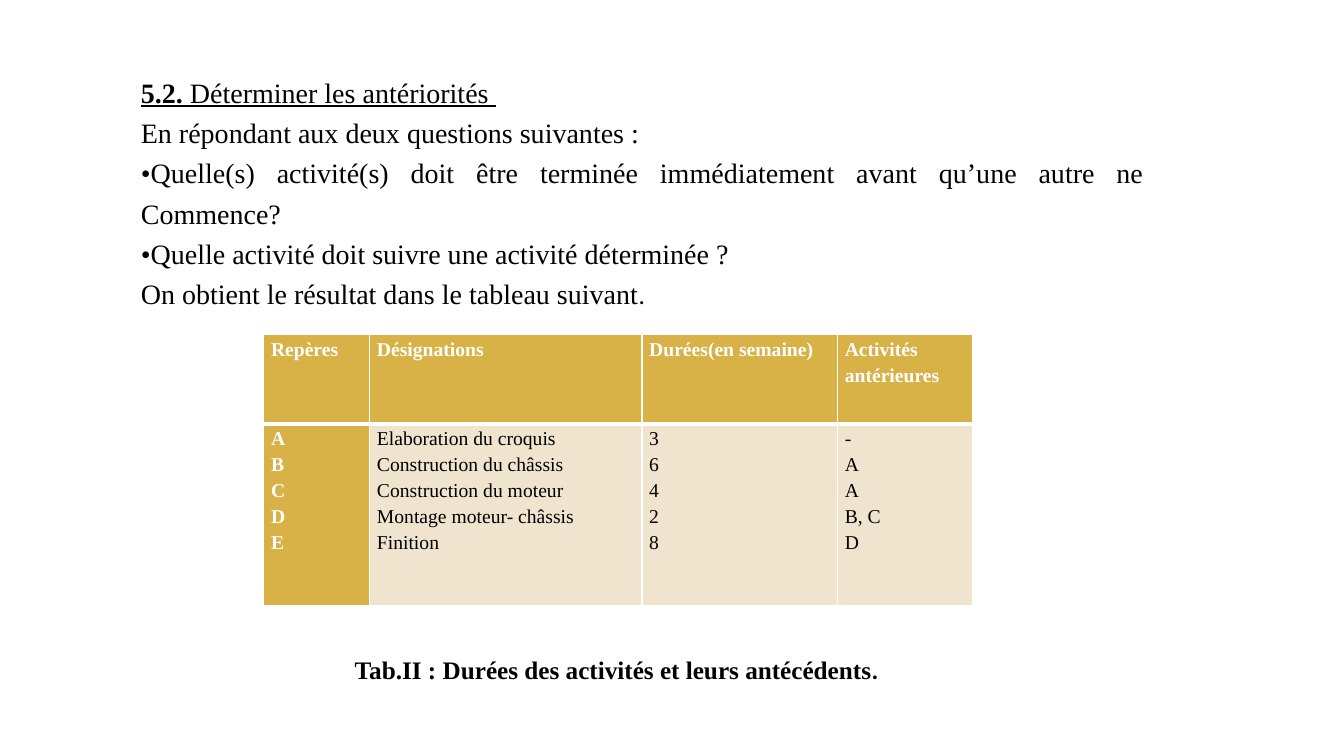
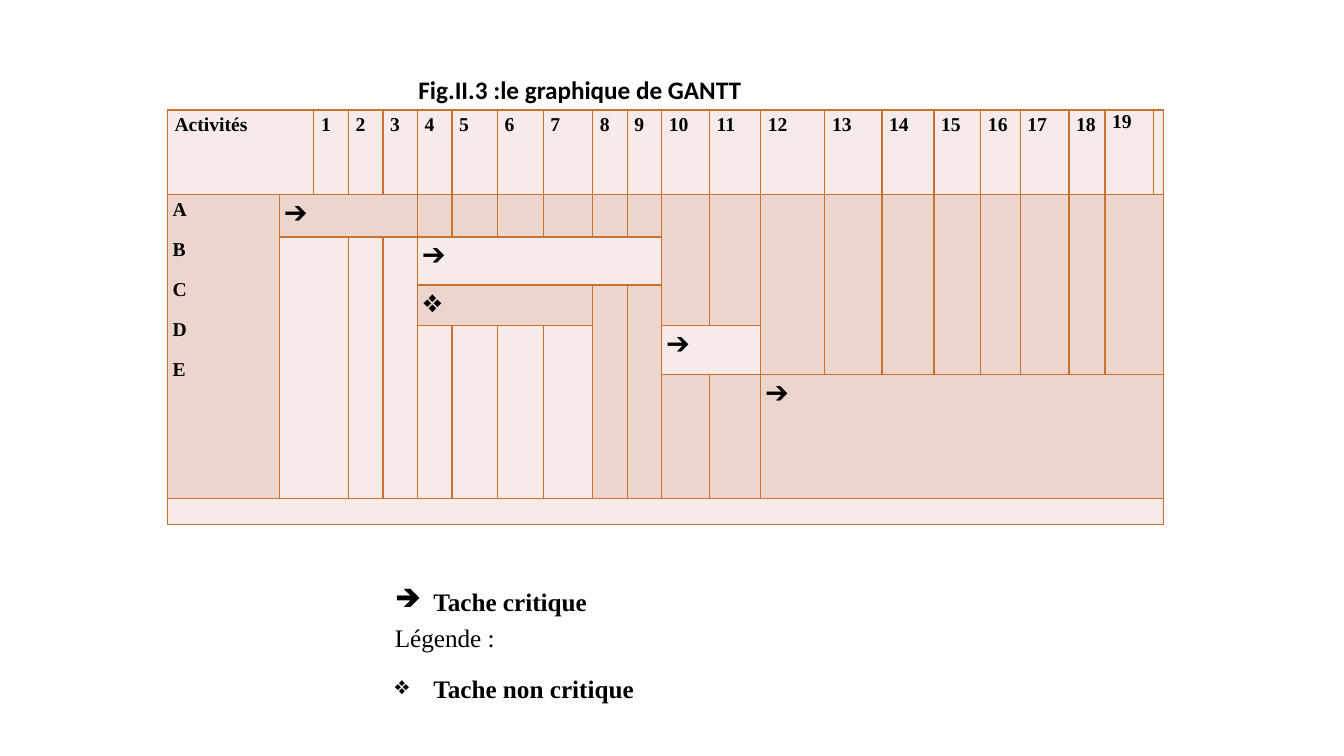
from lxml.etree import SubElement
from pptx import Presentation
from pptx.dml.color import RGBColor
from pptx.enum.text import MSO_ANCHOR, MSO_AUTO_SIZE, PP_ALIGN
from pptx.oxml.ns import qn
from pptx.util import Cm, Pt

SERIF, SANS = "Times New Roman", "Calibri"
BLACK, WHITE = "000000", "FFFFFF"
GOLD, CREAM = "D9B247", "F1E4CF"
ORANGE, PINK, PALE = "CC702D", "ECD5CD", "F6EBE8"


def style_paragraph(paragraph, size, bold=False, color=BLACK, font=SERIF,
                    align=PP_ALIGN.LEFT, after=0, spacing=1.2):
    paragraph.alignment = align
    paragraph.line_spacing = spacing
    paragraph.space_before = Pt(0)
    paragraph.space_after = Pt(after)
    for run in paragraph.runs:
        run.font.size = Pt(size)
        run.font.bold = bold
        run.font.name = font
        run.font.color.rgb = RGBColor.from_string(color)


def style_cell(cell, fill, line, inset, bottom=1, top=1):
    cell.margin_left = cell.margin_right = Cm(inset)
    cell.margin_top = cell.margin_bottom = 0
    properties = cell._tc.get_or_add_tcPr()
    for side, width in (("L", 1), ("R", 1), ("T", top), ("B", bottom)):
        border = SubElement(properties, qn(f"a:ln{side}"), w=str(Pt(width)))
        SubElement(SubElement(border, qn("a:solidFill")), qn("a:srgbClr"), val=line)
    cell.fill.solid()
    cell.fill.fore_color.rgb = RGBColor.from_string(fill)


prs = Presentation()
prs.slide_width, prs.slide_height = Cm(33.87), Cm(19.05)
title_only, blank = prs.slide_layouts[5], prs.slide_layouts[6]

# Slide 1: precedence of the activities
slide = prs.slides.add_slide(blank)
intro = slide.shapes.add_textbox(Cm(3.3), Cm(1.6), Cm(25.78), Cm(6.4)).text_frame
intro.word_wrap = True
intro.text = "\n".join([
    "5.2.",
    "En répondant aux deux questions suivantes : ",
    "•Quelle(s) activité(s) doit être terminée immédiatement avant qu’une autre ne Commence? ",
    "•Quelle activité doit suivre une activité déterminée ? ",
    "On obtient le résultat dans le tableau suivant",
])
heading, closing = intro.paragraphs[0], intro.paragraphs[-1]
heading.add_run().text = " Déterminer les antériorités "
closing.add_run().text = ". "
for paragraph in intro.paragraphs:
    style_paragraph(paragraph, 20, align=PP_ALIGN.JUSTIFY)
for run in heading.runs:
    run.font.underline = True
heading.runs[0].font.bold = True
closing.runs[1].font.size = Pt(18)
closing.runs[1].font.name = SANS

# Table of durations, one column per entry
duration_columns = [
    (2.67, "Repères", "A\nB\nC\nD\nE"),
    (6.86, "Désignations", "Elaboration du croquis\nConstruction du châssis\n"
     "Construction du moteur\nMontage moteur- châssis\nFinition"),
    (4.93, "Durées(en semaine)", "3\n6\n4\n2\n8"),
    (3.4, "Activités antérieures", "-\nA\nA\nB, C\nD"),
]
durations = slide.shapes.add_table(2, 4, Cm(6.65), Cm(8.43), Cm(17.86), Cm(6.83)).table
durations.horz_banding = False
durations.rows[0].height, durations.rows[1].height = Cm(2.26), Cm(4.57)
for c, (width, *texts) in enumerate(duration_columns):
    durations.columns[c].width = Cm(width)
    for r, text in enumerate(texts):
        cell = durations.cell(r, c)
        emphasis = r == 0 or c == 0
        style_cell(cell, GOLD if emphasis else CREAM, WHITE, 0.18,
                   bottom=1 if r else 3, top=3 if r else 1)
        cell.text_frame.text = text
        for paragraph in cell.text_frame.paragraphs:
            style_paragraph(paragraph, 14, emphasis, WHITE if emphasis else BLACK)

# Table caption
caption = slide.shapes.add_textbox(Cm(8.69), Cm(16.2), Cm(13.84), Cm(1.12)).text_frame
caption.word_wrap = False
caption.text = "Tab.II : Durées des activités et leurs antécédents"
caption.paragraphs[0].add_run().text = "."
style_paragraph(caption.paragraphs[0], 18, True, align=PP_ALIGN.JUSTIFY)
caption.paragraphs[0].runs[1].font.name = SANS

# Slide 2: Gantt chart
slide = prs.slides.add_slide(title_only)
title = slide.shapes.title
title.left, title.top, title.width, title.height = Cm(10.29), Cm(1.6), Cm(8.81), Cm(1.17)
title.text_frame.text = "Fig.II.3 :le graphique de GANTT"
title.text_frame.auto_size = MSO_AUTO_SIZE.NONE
title.text_frame.vertical_anchor = MSO_ANCHOR.TOP
style_paragraph(title.text_frame.paragraphs[0], 18, True, font=SANS, after=10)

# Gantt grid
widths = [2.82] + [0.87] * 5 + [1.15, 1.15, 1.25, 0.87, 0.87, 1.2, 1.29, 1.62, 1.44,
                                1.31, 1.18, 0.99, 1.23, 0.91, 1.23, 0.25]
heights = [2.13, 1.07, 1.21, 1.03, 1.22, 3.14, 0.64]
gantt = slide.shapes.add_table(len(heights), len(widths), Cm(4.22), Cm(2.77),
                               Cm(sum(widths)), Cm(sum(heights))).table
gantt.first_row = gantt.horz_banding = False
for column, width in zip(gantt.columns, widths):
    column.width = Cm(width)
for row, height in zip(gantt.rows, heights):
    row.height = Cm(height)

# Merged areas: row, column, rows, columns, fill
areas = [(0, 0, 1, 2, PALE), (1, 0, 5, 1, PINK), (1, 20, 4, 2, PINK),
         (2, 1, 4, 2, PALE), (6, 0, 1, 22, PALE)]
areas += [(1, c, 3, 1, PINK) for c in (11, 12)]
areas += [(1, c, 4, 1, PINK) for c in range(13, 20)]
areas += [(2, c, 4, 1, PALE) for c in (3, 4)]
areas += [(3, c, 3, 1, PINK) for c in (9, 10)]
areas += [(4, c, 2, 1, PALE) for c in range(5, 9)]

# Task bars: row, first column, columns, fill, mark
critical, slack = "➔", "❖"
bars = [(1, 1, 4, PINK, critical), (2, 5, 6, PALE, critical), (3, 5, 4, PINK, slack),
        (4, 11, 2, PALE, critical), (5, 13, 9, PINK, critical)]
areas += [(r, c, 1, span, fill) for r, c, span, fill, mark in bars]

fills = {(r, c): PINK if r else PALE
         for r in range(len(heights)) for c in range(len(widths))}
for r, c, down, across, fill in areas:
    fills.update({(r + i, c + j): fill for i in range(down) for j in range(across)})
    gantt.cell(r, c).merge(gantt.cell(r + down - 1, c + across - 1))

# Cell texts: text, size
cell_texts = {(0, 0): ("Activités", 14), (1, 0): ("A\nB\nC\nD\nE", 14)}
cell_texts.update({(0, week + 1): (str(week), 14) for week in range(1, 20)})
cell_texts.update({(r, c): (mark, 18) for r, c, span, fill, mark in bars})

for (r, c), fill in fills.items():
    cell = gantt.cell(r, c)
    style_cell(cell, fill, ORANGE, 0.13 if r else 0.18)
    if (r, c) in cell_texts:
        text, size = cell_texts[r, c]
        cell.text_frame.text = text
        for paragraph in cell.text_frame.paragraphs:
            style_paragraph(paragraph, size, True, after=0 if size == 18 else 10)
    else:
        cell.margin_left = cell.margin_right = 0
        SubElement(cell.text_frame.paragraphs[0]._p, qn("a:endParaRPr"), sz="800")
style_paragraph(gantt.cell(0, 20).text_frame.paragraphs[0], 14, True, after=8, spacing=1.07)

# Legend
legend = slide.shapes.add_textbox(Cm(9.7), Cm(14.5), Cm(23.37), Cm(3.48)).text_frame
legend.word_wrap = True
legend.text = "Tache critique\nLégende :\nTache non critique"
for paragraph, mark, after in zip(legend.paragraphs, (critical, None, slack), (0, 10, 10)):
    style_paragraph(paragraph, 18, mark is not None, align=PP_ALIGN.JUSTIFY, after=after)
    if mark:
        properties = paragraph._p.get_or_add_pPr()
        properties.set("marL", str(Cm(0.97)))
        properties.set("indent", str(-Cm(0.97)))
        SubElement(properties, qn("a:buChar"), char=mark)

prs.save("out.pptx")
